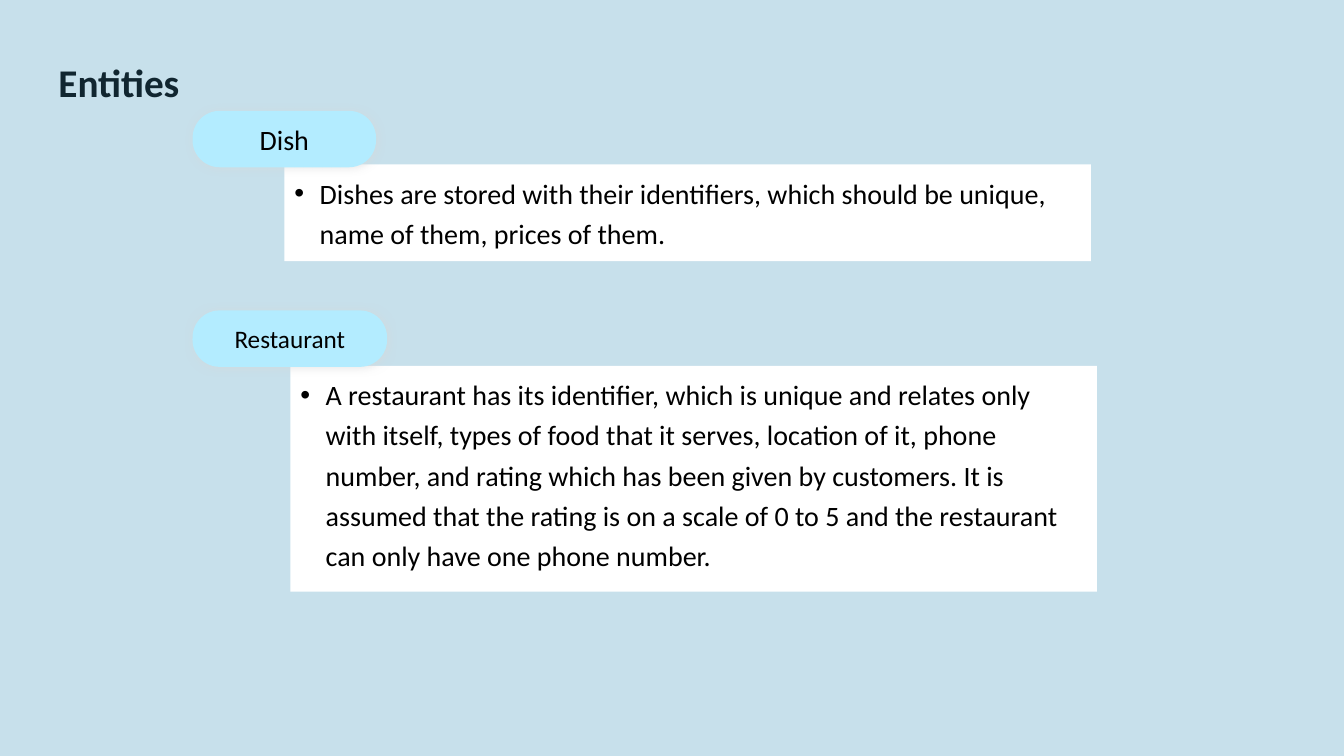
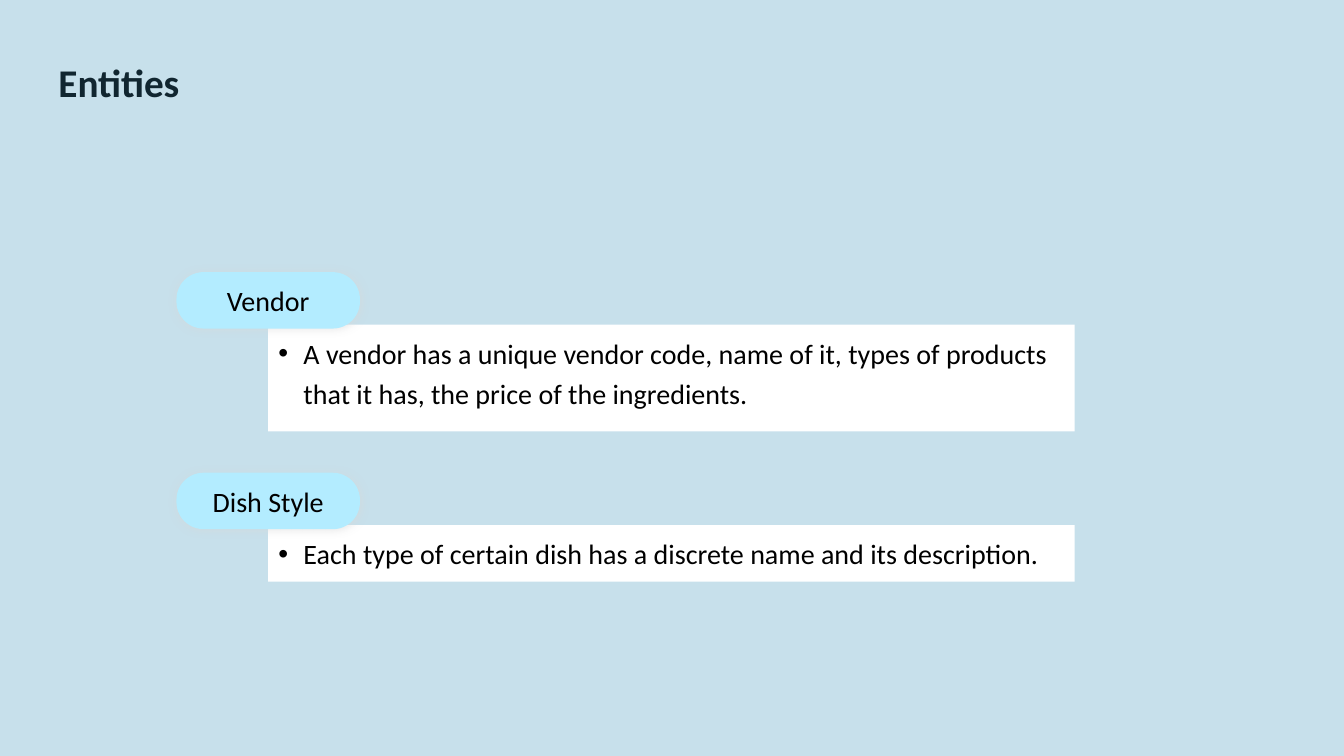
from dataclasses import dataclass

from lxml.etree import SubElement
from pptx import Presentation
from pptx.dml.color import RGBColor
from pptx.enum.shapes import MSO_SHAPE
from pptx.enum.text import MSO_ANCHOR, MSO_AUTO_SIZE, PP_ALIGN
from pptx.oxml.ns import qn
from pptx.presentation import Presentation as Deck
from pptx.shapes.autoshape import Shape
from pptx.slide import Slide
from pptx.text.text import _Paragraph as Paragraph
from pptx.util import Emu, Pt

EMU_PER_PX = 9144  # 100 px to the inch
FONT = "Calibri"
COLORS = {
    "background": "C7E0EB",
    "title": "112630",
    "text": "000000",
    "panel": "FFFFFF",
    "pill": "B3ECFF",
    "shadow": "D9D9D9",
}
TWO_CONTENT_LAYOUT = 3
PILL_HEIGHT = 56
PANEL_WIDTH = 800
BULLET_INDENT = 25


@dataclass(frozen=True)
class Box:
    left: int
    top: int
    width: int
    height: int


@dataclass(frozen=True)
class Entity:
    name: str
    description: str
    pill: Box
    panel: Box
    name_size: int = 20


@dataclass(frozen=True)
class EntitySlide:
    title: str
    title_width: int
    entities: tuple[Entity, ...]


SLIDES = (
    EntitySlide("Entities", 634, (
        Entity(
            "Dish",
            "Dishes are stored with their identifiers, which should be unique, "
            "name of them, prices of them.",
            Box(191, 110, 182, PILL_HEIGHT),
            Box(282, 163, PANEL_WIDTH, 96),
        ),
        Entity(
            "Restaurant",
            "A restaurant has its identifier, which is unique and relates only "
            "with itself, types of food that it serves, location of it, phone "
            "number, and rating which has been given by customers. It is "
            "assumed that the rating is on a scale of 0 to 5 and the restaurant "
            "can only have one phone number.",
            Box(191, 308, 193, PILL_HEIGHT),
            Box(288, 363, PANEL_WIDTH, 224),
            name_size=18,
        ),
    )),
    EntitySlide("Entities", 736, (
        Entity(
            "Vendor",
            "A vendor has a unique vendor code, name of it, types of products "
            "that it has, the price of the ingredients.",
            Box(175, 270, 182, PILL_HEIGHT),
            Box(266, 322, PANEL_WIDTH, 106),
        ),
        Entity(
            "Dish Style",
            "Each type of certain dish has a discrete name and its description.",
            Box(175, 469, 182, PILL_HEIGHT),
            Box(266, 521, PANEL_WIDTH, 56),
        ),
    )),
)


def px(length: int) -> Emu:
    return Emu(length * EMU_PER_PX)


def color(name: str) -> RGBColor:
    return RGBColor.from_string(COLORS[name])


def place(shape: Shape, box: Box) -> None:
    shape.left, shape.top = px(box.left), px(box.top)
    shape.width, shape.height = px(box.width), px(box.height)


def set_text(shape: Shape, text: str, size: int, color_name: str,
             alignment: PP_ALIGN, anchor: MSO_ANCHOR, bold: bool = False) -> Paragraph:
    """Fill a shape with one formatted paragraph."""
    text_frame = shape.text_frame
    text_frame.text = text
    text_frame.word_wrap = True
    text_frame.auto_size = MSO_AUTO_SIZE.NONE
    text_frame.vertical_anchor = anchor
    paragraph = text_frame.paragraphs[0]
    paragraph.alignment = alignment
    paragraph.space_before = Pt(0)
    font = paragraph.runs[0].font
    font.name, font.size, font.bold = FONT, Pt(size), bold
    font.color.rgb = color(color_name)
    return paragraph


def add_bullet(paragraph: Paragraph) -> None:
    properties = paragraph._p.get_or_add_pPr()
    properties.set("marL", str(px(BULLET_INDENT)))
    properties.set("indent", str(-px(BULLET_INDENT)))
    SubElement(properties, qn("a:buFont"), typeface="Arial")
    SubElement(properties, qn("a:buChar"), char="•")


def add_soft_shadow(shape: Shape) -> None:
    shape.shadow.inherit = False
    effects = shape._element.spPr.find(qn("a:effectLst"))
    shadow = SubElement(effects, qn("a:outerShdw"), blurRad=str(Pt(6)),
                        dist=str(Pt(1)), dir=str(45 * 60000), rotWithShape="0")
    shadow_color = SubElement(shadow, qn("a:srgbClr"), val=COLORS["shadow"])
    SubElement(shadow_color, qn("a:alpha"), val="60000")


def fill_panel(panel: Shape, entity: Entity) -> None:
    """Turn a body placeholder into the white description panel."""
    place(panel, entity.panel)
    panel.fill.solid()
    panel.fill.fore_color.rgb = color("panel")
    paragraph = set_text(panel, entity.description, 20, "text",
                         PP_ALIGN.LEFT, MSO_ANCHOR.TOP)
    paragraph.line_spacing = 1.2
    add_bullet(paragraph)


def add_pill(slide: Slide, entity: Entity) -> None:
    """Add the rounded label that carries the entity name."""
    pill = slide.shapes.add_shape(MSO_SHAPE.ROUNDED_RECTANGLE, 0, 0, 0, 0)
    place(pill, entity.pill)
    pill.adjustments[0] = 0.48
    pill.fill.solid()
    pill.fill.fore_color.rgb = color("pill")
    pill.line.fill.background()
    add_soft_shadow(pill)
    set_text(pill, entity.name, entity.name_size, "text",
             PP_ALIGN.CENTER, MSO_ANCHOR.MIDDLE)


def add_entity_slide(presentation: Deck, content: EntitySlide) -> None:
    slide = presentation.slides.add_slide(
        presentation.slide_layouts[TWO_CONTENT_LAYOUT])
    title, *panels = slide.placeholders

    # Title
    place(title, Box(48, 53, content.title_width, 57))
    set_text(title, content.title, 28, "title", PP_ALIGN.LEFT,
             MSO_ANCHOR.MIDDLE, bold=True)

    # Entities: description panel with its name pill on top
    for panel, entity in zip(panels, content.entities):
        fill_panel(panel, entity)
        add_pill(slide, entity)


def main() -> None:
    presentation = Presentation()
    presentation.slide_width, presentation.slide_height = px(1333), px(750)

    # Shared background
    background = presentation.slide_master.background.fill
    background.solid()
    background.fore_color.rgb = color("background")

    for content in SLIDES:
        add_entity_slide(presentation, content)
    presentation.save("out.pptx")


if __name__ == "__main__":
    main()
